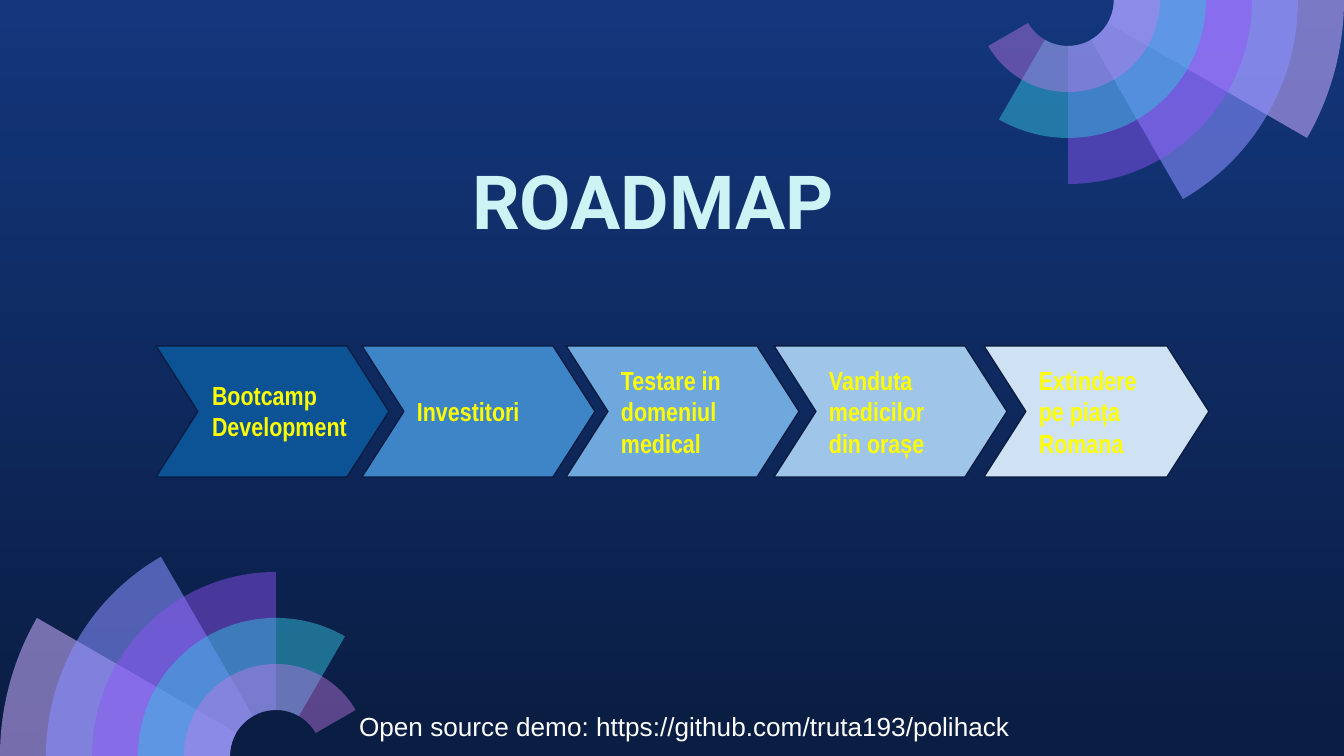
from itertools import pairwise
from math import cos, radians, sin, tan

from lxml.etree import SubElement
from pptx import Presentation
from pptx.dml.color import RGBColor
from pptx.enum.shapes import MSO_SHAPE as Shape
from pptx.enum.text import MSO_ANCHOR as Anchor, PP_ALIGN as Align
from pptx.oxml.ns import qn
from pptx.util import Pt

PX = 914400 / 134.4
WIDTH, HEIGHT = 1344, 756

SKY = RGBColor(0x13, 0x36, 0x7C)
NAVY = RGBColor(0x0A, 0x1D, 0x42)
MINT = RGBColor(0xCE, 0xF3, 0xF5)
YELLOW = RGBColor(0xFF, 0xFF, 0x00)
WHITE = RGBColor(0xFF, 0xFF, 0xFF)

# Fan sectors, widest radius first: colour and opacity in percent
SECTORS = [
    (RGBColor(0xC8, 0xAC, 0xFD), 57),
    (RGBColor(0x87, 0x8F, 0xFF), 58),
    (RGBColor(0x91, 0x54, 0xF8), 46),
    (RGBColor(0x35, 0xC2, 0xDF), 49),
    (RGBColor(0xCA, 0x7B, 0xEB), 42),
]
RING = 46

# Roadmap steps: left offset, width, colour, text
STEPS = [
    (0, 233, RGBColor(0x0B, 0x53, 0x94), "Bootcamp\nDevelopment"),
    (206, 233, RGBColor(0x3D, 0x85, 0xC6), "Investitori"),
    (410, 233, RGBColor(0x6F, 0xA8, 0xDC), "Testare in domeniul medical"),
    (618, 233, RGBColor(0x9F, 0xC5, 0xE8), "Vanduta medicilor din orașe"),
    (828, 225, RGBColor(0xCF, 0xE2, 0xF3), "Extindere pe piața Romana"),
]
STEP_FORMAT = dict(font="Arial Narrow", size=14, color=YELLOW, bold=True)


def px(value):
    return round(value * PX)


def write_text(shape, text, font, size, color, bold=False,
               align=Align.LEFT, anchor=Anchor.MIDDLE):
    frame = shape.text_frame
    frame.word_wrap = True
    frame.vertical_anchor = anchor
    frame.margin_left = frame.margin_right = px(13)
    frame.margin_top = frame.margin_bottom = px(13)
    frame.text = text
    for paragraph in frame.paragraphs:
        paragraph.alignment = align
        paragraph.font.name = font
        paragraph.font.size = Pt(size)
        paragraph.font.bold = bold
        paragraph.font.color.rgb = color


def add_text(slide, box, text, **text_format):
    shape = slide.shapes.add_textbox(*map(px, box))
    write_text(shape, text, **text_format)


def arc_curves(center, radius, angles):
    """Bezier curves along an arc, each as two control points and an end point."""
    def point(angle, pull=0):
        x, y = cos(radians(angle)), sin(radians(angle))
        return (px(center[0] + radius * (x - pull * y)),
                px(center[1] + radius * (y + pull * x)))

    curves = []
    for first, last in pairwise(angles):
        pull = 4 / 3 * tan(radians(last - first) / 4)
        curves.append((point(first, pull), point(last, -pull), point(last)))
    return point(angles[0]), curves


def add_sector(slide, center, radius, angles, color, opacity):
    start, outer = arc_curves(center, radius, angles)
    turn, inner = arc_curves(center, RING, angles[::-1])
    steps = outer + [(turn,)] + inner

    builder = slide.shapes.build_freeform(*start, scale=1.0)
    builder.add_line_segments([step[-1] for step in steps], close=True)
    sector = builder.convert_to_shape()
    sector.shadow.inherit = False
    sector.line.fill.background()
    sector.fill.solid()
    sector.fill.fore_color.rgb = color

    # Bend the arc segments and make the fill translucent
    lines = list(sector.element.iter(qn("a:lnTo")))
    for line, step in zip(lines, steps):
        if len(step) == 3:
            line.tag = qn("a:cubicBezTo")
            for index, (x, y) in enumerate(step[:-1]):
                control = SubElement(line, qn("a:pt"))
                control.set("x", str(x - sector.left))
                control.set("y", str(y - sector.top))
                line.insert(index, control)
    rgb = next(sector.element.iter(qn("a:srgbClr")))
    SubElement(rgb, qn("a:alpha")).set("val", str(opacity * 1000))


def add_fan(slide, center, start):
    """Overlapping ring sectors: each is one ring smaller and 30 degrees longer."""
    for index, (color, opacity) in enumerate(SECTORS):
        sweep = 30 * (index + 1)
        angles = [start + turn for turn in (*range(0, sweep, 90), sweep)]
        add_sector(slide, center, RING * (6 - index), angles, color, opacity)


def add_roadmap(slide, left, top, height):
    for index, (offset, width, color, text) in enumerate(STEPS):
        chevron = slide.shapes.add_shape(
            Shape.CHEVRON, px(left + offset), px(top), px(width), px(height))
        chevron.adjustments[0] = 0.32
        chevron.shadow.inherit = False
        chevron.fill.solid()
        chevron.fill.fore_color.rgb = color
        chevron.line.color.rgb = NAVY
        chevron.line.width = Pt(0.75)
        if index:
            write_text(chevron, text, **STEP_FORMAT)
    # The first label is wider than its chevron's text area
    add_text(slide, (left + 43, top + 20, 181, 90), STEPS[0][-1],
             anchor=Anchor.TOP, **STEP_FORMAT)


def add_background(slide):
    fill = slide.background.fill
    fill.gradient()
    fill.gradient_angle = 270
    for stop, color in zip(fill.gradient_stops, (SKY, NAVY)):
        stop.color.rgb = color


def main():
    presentation = Presentation()
    presentation.slide_width = px(WIDTH)
    presentation.slide_height = px(HEIGHT)
    slide = presentation.slides.add_slide(presentation.slide_layouts[6])

    add_background(slide)
    add_fan(slide, (276, HEIGHT), start=180)
    add_fan(slide, (1068, 0), start=0)
    add_text(slide, (194, 155, 918, 90), "ROADMAP", font="Roboto", size=40,
             color=MINT, bold=True, align=Align.CENTER)
    add_roadmap(slide, 156, 346, 131)
    add_text(slide, (346, 697, 684, 59),
             "Open source demo: https://github.com/truta193/polihack",
             font="Arial", size=14, color=WHITE, anchor=Anchor.TOP)

    presentation.save("out.pptx")


if __name__ == "__main__":
    main()
